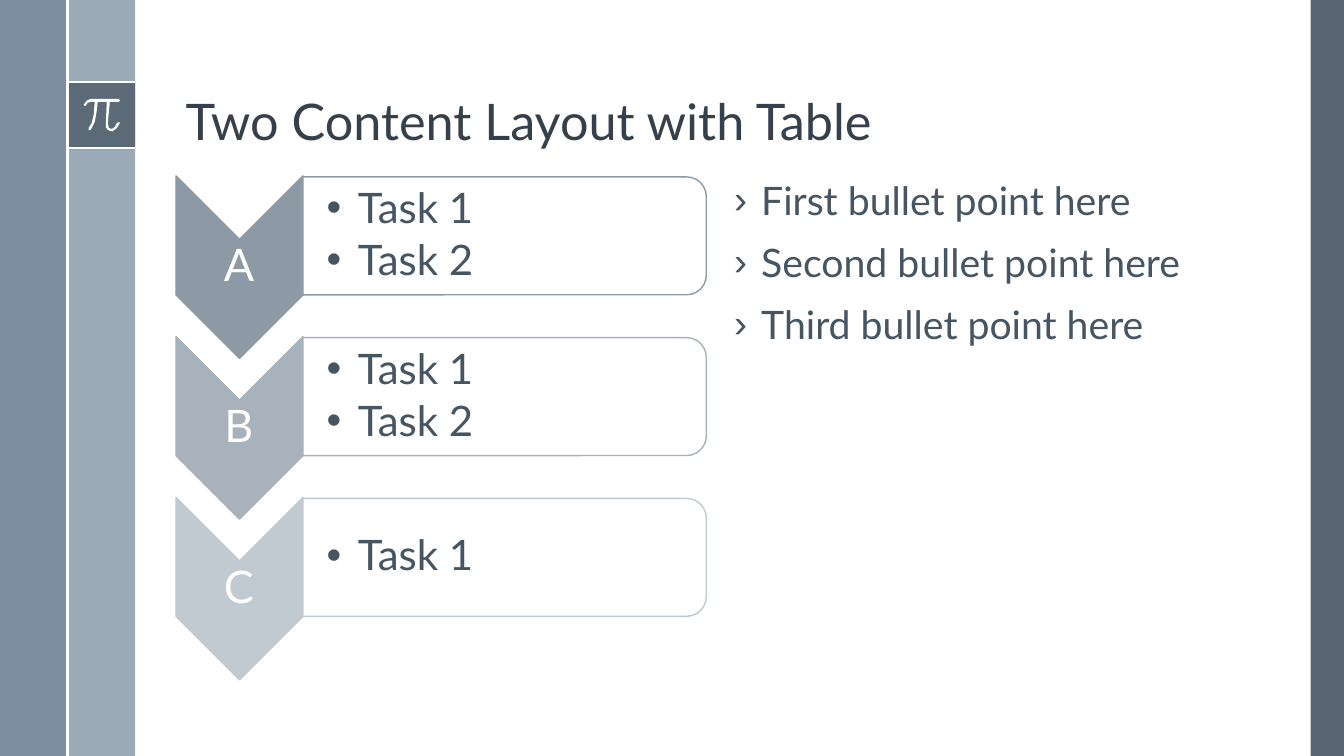
from lxml import etree
from pptx import Presentation
from pptx.dml.color import RGBColor
from pptx.enum.shapes import MSO_CONNECTOR, MSO_SHAPE
from pptx.enum.text import MSO_ANCHOR, MSO_AUTO_SIZE, PP_ALIGN
from pptx.oxml.ns import qn
from pptx.util import Inches, Pt

RECT = MSO_SHAPE.RECTANGLE
CHEVRON = MSO_SHAPE.CHEVRON
ROUND_TOP = MSO_SHAPE.ROUND_2_SAME_RECTANGLE
STRAIGHT = MSO_CONNECTOR.STRAIGHT
MIDDLE, BOTTOM, TOP = MSO_ANCHOR.MIDDLE, MSO_ANCHOR.BOTTOM, MSO_ANCHOR.TOP
LEFT, CENTER = PP_ALIGN.LEFT, PP_ALIGN.CENTER
NO_FIT = MSO_AUTO_SIZE.NONE

COLORS = {
    "white": "FFFFFF", "slate": "475562", "mist": "9BAAB7", "steel": "6A8093",
    "title": "35404A", "body": "465562",
    "A": "8D9AA6", "B": "A7B2BC", "C": "C1C9D1",
}

PI_OUTLINE = [
    (1.18, 0.98), (0.9, 0.98), (0.86, 1), (0.83, 1.04), (0.84, 1.05),
    (0.85, 1.05), (0.87, 1.02), (0.9, 1.01), (0.94, 1.01), (0.93, 1.14),
    (0.91, 1.22), (0.88, 1.27), (0.88, 1.29), (0.9, 1.29), (0.94, 1.21),
    (0.96, 1.1), (0.97, 1.01), (1.06, 1.01), (1.05, 1.22), (1.05, 1.26),
    (1.07, 1.29), (1.1, 1.3), (1.12, 1.3), (1.16, 1.27), (1.19, 1.22),
    (1.18, 1.21), (1.16, 1.22), (1.14, 1.26), (1.11, 1.28), (1.08, 1.27),
    (1.07, 1.22), (1.09, 1.01), (1.18, 1.01), (1.19, 1),
]

TASKS = {"A": ["Task 1", "Task 2"], "B": ["Task 1", "Task 2"], "C": ["Task 1"]}
STEP_PITCH = 3.19 / 2


class SlideBuilder:
    font_name = "Lato"

    def __init__(self, slide):
        self.slide = slide
        self.shapes = slide.shapes

    def apply(self, target, values):
        for name, value in values.items():
            setattr(target, name, value)

    def rgb(self, color):
        return RGBColor.from_string(COLORS[color])

    def paint(self, shape, color, opacity=100, outline=None):
        shape.shadow.inherit = False
        shape.fill.solid()
        shape.fill.fore_color.rgb = self.rgb(color)
        if opacity < 100:
            solid = shape._element.spPr.find(qn("a:solidFill"))
            etree.SubElement(solid[0], qn("a:alpha"), val=str(opacity * 1000))
        if outline:
            shape.line.color.rgb = self.rgb(outline)
            shape.line.width = Pt(1)
        else:
            shape.line.fill.background()

    def block(self, preset, box, color, opacity=100, outline=None, rotation=0):
        block = self.shapes.add_shape(preset, *map(Inches, box))
        block.rotation = rotation
        self.paint(block, color, opacity, outline)

    def rule(self, start, end):
        rule = self.shapes.add_connector(STRAIGHT, *map(Inches, start + end))
        rule.line.color.rgb = self.rgb("white")
        rule.line.width = Pt(1.5)
        etree.SubElement(rule._element.spPr, qn("a:effectLst"))

    def outline(self, points, color):
        builder = self.shapes.build_freeform(
            *map(Inches, points[0]), scale=1.0)
        builder.add_line_segments(
            [tuple(map(Inches, point)) for point in points[1:]], close=True)
        self.paint(builder.convert_to_shape(), color)

    def bullet(self, paragraph, symbol, indent):
        properties = paragraph._p.get_or_add_pPr()
        properties.set("marL", str(Inches(indent)))
        properties.set("indent", str(-Inches(indent)))
        etree.SubElement(properties, qn("a:buFont"), typeface="Arial")
        etree.SubElement(properties, qn("a:buChar"), char=symbol)

    def fill_text(self, frame, lines, size, color, layout, spacing, bullet=None):
        self.apply(frame, {"word_wrap": True, "auto_size": NO_FIT, **layout})
        for index, line in enumerate(lines):
            paragraph = frame.add_paragraph() if index else frame.paragraphs[0]
            self.apply(paragraph, {"alignment": LEFT, "line_spacing": 0.9, **spacing})
            if bullet:
                self.bullet(paragraph, *bullet)
            run = paragraph.add_run()
            run.text = line
            self.apply(run.font, {"name": self.font_name, "size": Pt(size)})
            run.font.color.rgb = self.rgb(color)

    def placeholder(self, index, box, *text):
        holder = self.slide.placeholders[index]
        sides = ("left", "top", "width", "height")
        self.apply(holder, dict(zip(sides, map(Inches, box))))
        self.fill_text(holder.text_frame, *text)

    def label(self, box, left_inset, *text):
        frame = self.shapes.add_textbox(*map(Inches, box)).text_frame
        inset = Inches(0.02)
        self.apply(frame, {
            "margin_left": Inches(left_inset), "margin_right": inset,
            "margin_top": inset, "margin_bottom": inset,
        })
        self.fill_text(frame, *text)

    def step(self, letter, tasks, offset):
        self.block(CHEVRON, (1.47, 2.02 + offset, 1.81, 1.26), letter,
                   outline=letter, rotation=90)
        self.label((1.74, 2.38 + offset, 1.26, 0.54), 0.02, [letter], 32,
                   "white", {"vertical_anchor": MIDDLE}, {"alignment": CENTER})
        self.block(ROUND_TOP, (4.42, 0.34 + offset, 1.17, 4), "white", 90,
                   letter, 90)
        self.label((3.01, 1.81 + offset, 3.94, 1.06), 0.23, tasks, 30, "body",
                   {"vertical_anchor": MIDDLE}, {"space_after": Pt(4.5)},
                   ("•", 0.31))


def main():
    deck = Presentation()
    deck.slide_width, deck.slide_height = Inches(13.33), Inches(7.5)
    builder = SlideBuilder(deck.slides.add_slide(deck.slide_layouts[1]))

    builder.block(RECT, (13, 0, 0.33, 7.5), "slate", 90)
    builder.block(RECT, (0.67, 0, 0.67, 7.5), "mist")
    builder.block(RECT, (0, 0, 0.67, 7.5), "steel", 88)
    builder.block(RECT, (0.67, 0.81, 0.67, 0.67), "slate", 75)
    for height in (0.81, 1.47):
        builder.rule((0.67, height), (1.34, height))
    builder.outline(PI_OUTLINE, "white")
    builder.rule((0.67, 0), (0.67, 7.5))

    builder.placeholder(0, (1.74, 0.19, 10.7, 1.36),
                        ["Two Content Layout with Table"], 36, "title",
                        {"vertical_anchor": BOTTOM}, {})
    builder.placeholder(1, (7.18, 1.75, 5.27, 5),
                        [f"{order} bullet point here"
                         for order in ("First", "Second", "Third")],
                        28, "body", {"vertical_anchor": TOP},
                        {"space_before": Pt(14)}, ("›", 0.27))

    for index, (letter, tasks) in enumerate(TASKS.items()):
        builder.step(letter, tasks, index * STEP_PITCH)

    deck.save("out.pptx")


if __name__ == "__main__":
    main()
